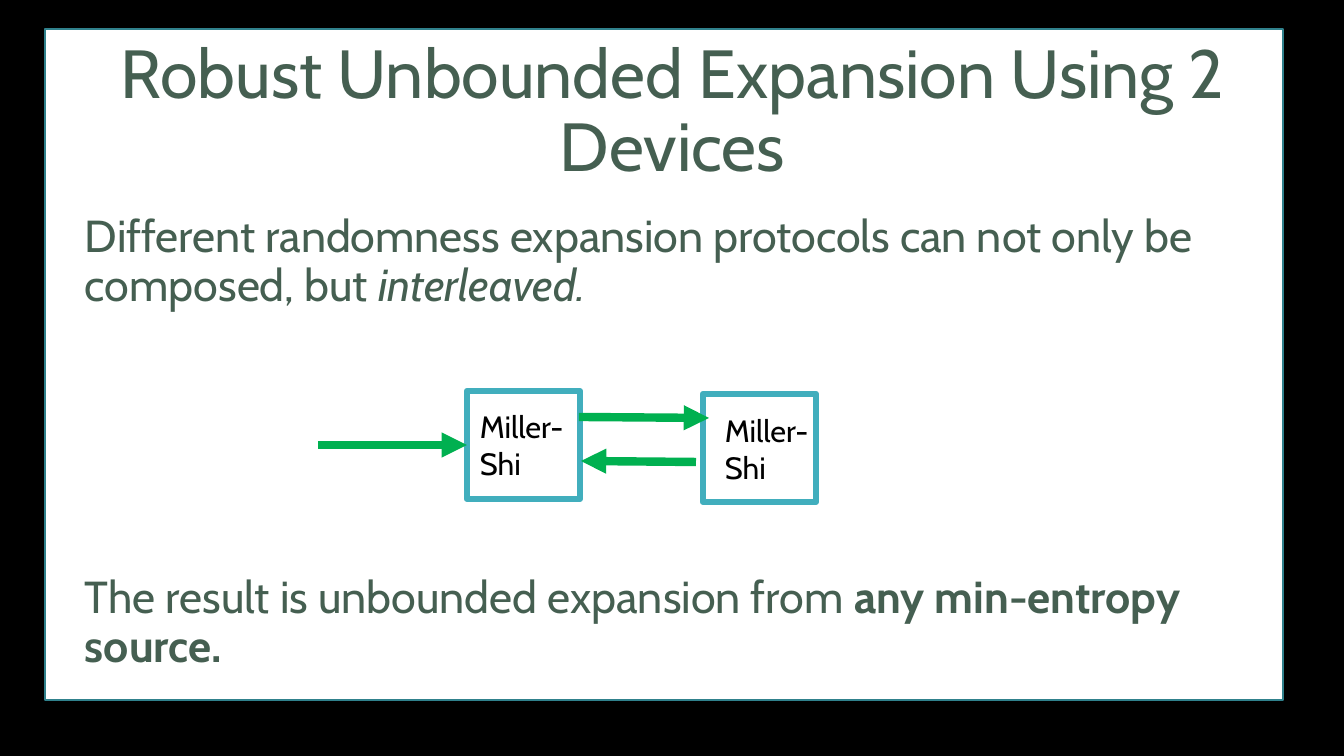
import pptx
import pptx.dml.color
import pptx.enum.shapes
import pptx.enum.text
import pptx.oxml.ns
import pptx.util
from lxml import etree

SCALE = 914400 / 100.8
SIZE = (1344, 756)
FONT = "Cabin"
DARK, TEAL, GREEN = "455F51", "41AEBD", "00B050"

PANEL = (45, 29, 1238, 671)
TITLE = ("Robust Unbounded Expansion Using 2 Devices", (93, 40, 1159, 146))
# Each run is (text, style)
BODY = [
    ((75, 209, 1128, 110), [
        ("Different randomness expansion protocols can not only be composed, but ", ""),
        ("interleaved.", "italic")]),
    ((75, 570, 1128, 110), [
        ("The result is unbounded expansion from ", ""),
        ("any min-entropy source.", "bold")]),
]
LABEL = ["Miller-", "Shi"]
# Device box and its label
DEVICES = [
    ((467, 391, 113, 108), (470, 403, 109, 85)),
    ((703, 394, 113, 108), (715, 407, 109, 85)),
]
INPUT = (318, 445, 467, 445)
LOOP = [(579, 417, 709, 418), (696, 462, 581, 461)]


def emu(px):
    return pptx.util.Emu(round(px * SCALE))


def color(code):
    return pptx.dml.color.RGBColor.from_string(code)


def write(shape, paras, size, ink=DARK, space=None, align="LEFT", anchor="TOP"):
    """Fill a shape with paragraphs, each a list of (text, style) runs."""
    frame = shape.text_frame
    frame.word_wrap = True
    frame.auto_size = pptx.enum.text.MSO_AUTO_SIZE.NONE
    frame.vertical_anchor = pptx.enum.text.MSO_ANCHOR[anchor]
    for i, runs in enumerate(paras):
        para = frame.add_paragraph() if i else frame.paragraphs[0]
        para.alignment = pptx.enum.text.PP_ALIGN[align]
        para.line_spacing = space
        for text, style in runs:
            run = para.add_run()
            run.text = text
            font = run.font
            font.name, font.size = FONT, pptx.util.Pt(size)
            font.bold, font.italic = style == "bold", style == "italic"
            font.color.rgb = color(ink)


def add_text(slide, place, paras, size, **form):
    write(slide.shapes.add_textbox(*map(emu, place)), paras, size, **form)


def add_rect(slide, place, edge, width):
    kind = pptx.enum.shapes.MSO_SHAPE.RECTANGLE
    rect = slide.shapes.add_shape(kind, *map(emu, place))
    rect.shadow.inherit = False
    rect.fill.solid()
    rect.fill.fore_color.rgb = color("FFFFFF")
    rect.line.color.rgb = color(edge)
    rect.line.width = pptx.util.Pt(width)
    return rect


def add_arrow(slide, ends):
    kind = pptx.enum.shapes.MSO_CONNECTOR.STRAIGHT
    arrow = slide.shapes.add_connector(kind, *map(emu, ends))
    arrow.line.color.rgb = color(GREEN)
    arrow.line.width = pptx.util.Pt(6)
    qn = pptx.oxml.ns.qn
    etree.SubElement(arrow.line._get_or_add_ln(), qn("a:tailEnd"), type="triangle")
    etree.SubElement(arrow._element.spPr, qn("a:effectLst"))
    return arrow


def main():
    deck = pptx.Presentation()
    deck.slide_width, deck.slide_height = map(emu, SIZE)
    slide = deck.slides.add_slide(deck.slide_layouts[5])
    slide.background.fill.solid()
    slide.background.fill.fore_color.rgb = color("000000")

    panel = add_rect(slide, PANEL, "30818C", 1)
    text, place = TITLE
    title = slide.shapes.title
    title.left, title.top, title.width, title.height = map(emu, place)
    write(title, [[(text, "")]], 48.6, space=0.9, align="CENTER", anchor="MIDDLE")
    title._element.addprevious(panel._element)

    for place, runs in BODY:
        add_text(slide, place, [runs], 32, space=0.9)

    boxes = []
    for place, label in DEVICES:
        boxes.append(add_rect(slide, place, TEAL, 4.5))
        add_text(slide, label, [[(line, "")] for line in LABEL], 22, ink="000000")

    add_arrow(slide, INPUT).end_connect(boxes[0], 1)
    for ends in LOOP:
        add_arrow(slide, ends)
    deck.save("out.pptx")


if __name__ == "__main__":
    main()
